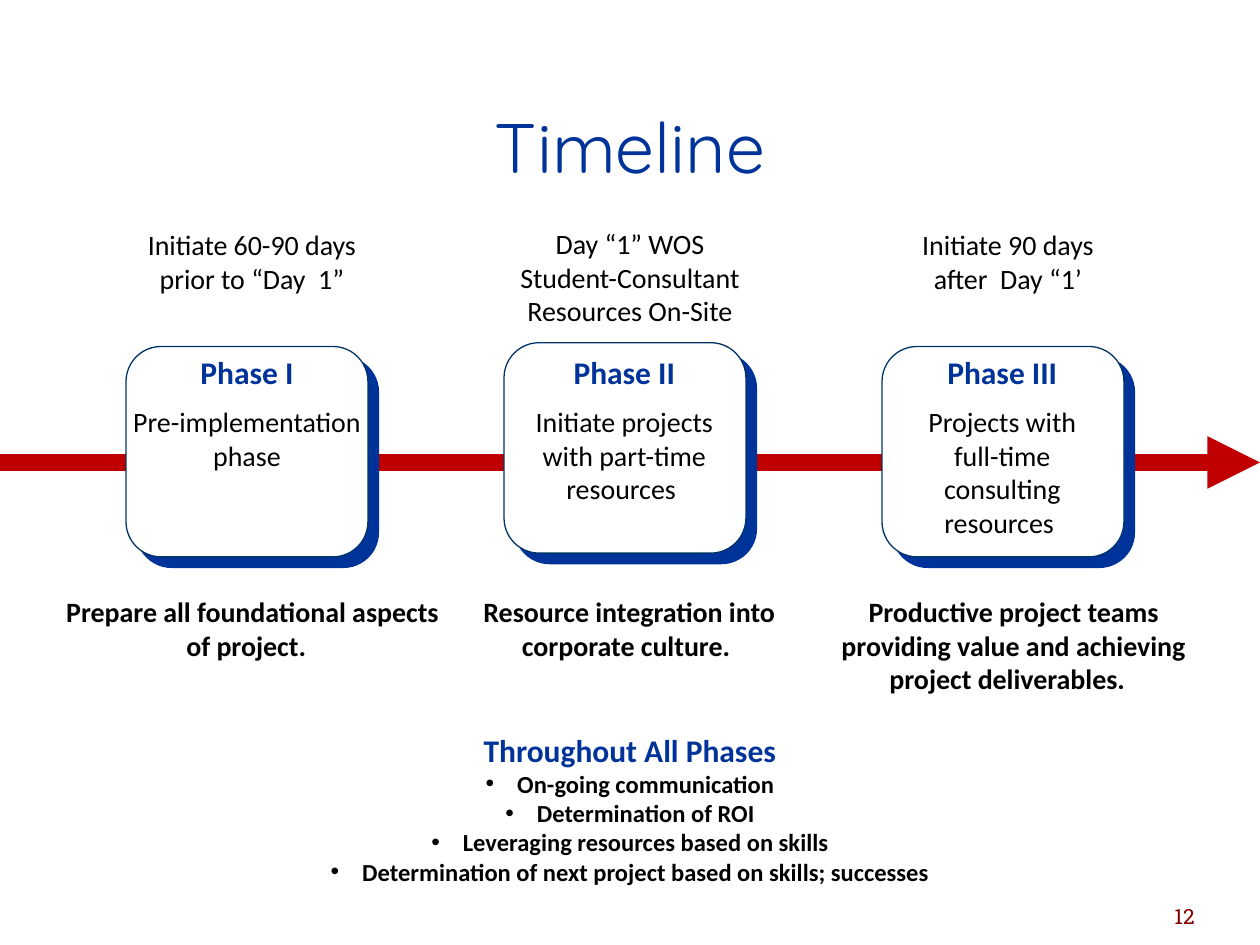
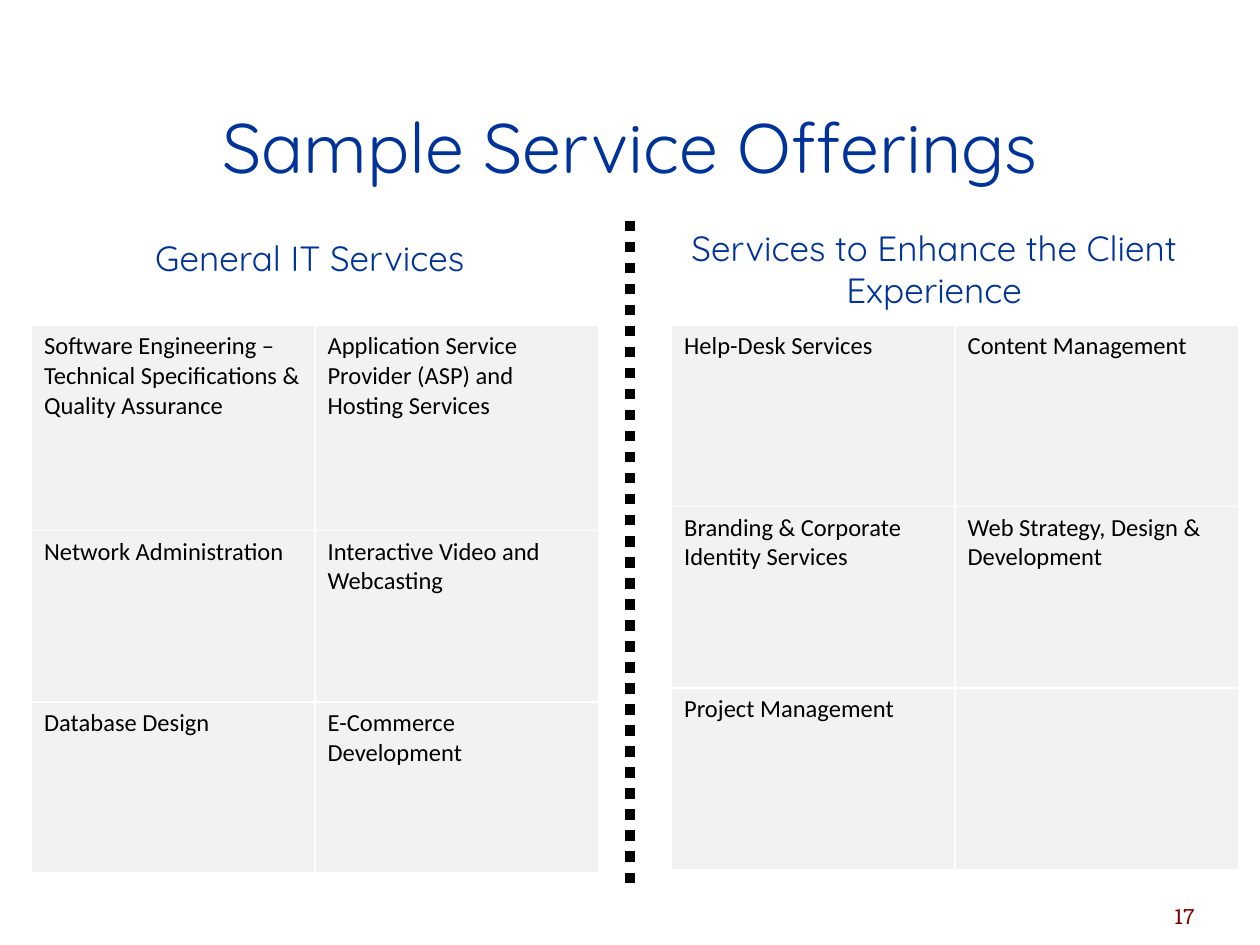
"""Build the timeline and service offering slides."""
from dataclasses import dataclass

import lxml.etree
import pptx
import pptx.dml.color
import pptx.enum.dml
import pptx.enum.shapes
import pptx.enum.text
import pptx.oxml.ns
import pptx.presentation
import pptx.slide
import pptx.util

Inches = pptx.util.Inches
Pt = pptx.util.Pt
RGBColor = pptx.dml.color.RGBColor
Align = pptx.enum.text.PP_ALIGN
Anchor = pptx.enum.text.MSO_ANCHOR
qn = pptx.oxml.ns.qn

BLUE = RGBColor(0x00, 0x33, 0x99)
NAVY = RGBColor(0x00, 0x33, 0x66)
RED = RGBColor(0xC0, 0x00, 0x00)
MAROON = RGBColor(0x80, 0x00, 0x00)
BLACK = RGBColor(0x00, 0x00, 0x00)
WHITE = RGBColor(0xFF, 0xFF, 0xFF)
GRAY = RGBColor(0xF2, 0xF2, 0xF2)
BODY = "Calibri"
HEAD = "Quicksand"
SLAB = "Roboto Slab"


@dataclass(frozen=True)
class Line:
    text: str
    size: int = 16
    color: RGBColor = BLACK
    bold: bool = False
    font: str = BODY
    before: float = 0
    space: float = 1
    hang: bool = False
    dot: bool = False


@dataclass(frozen=True)
class Note:
    left: float
    top: float
    width: float
    height: float
    lines: tuple[Line, ...]
    anchor: Anchor = Anchor.TOP
    align: Align = Align.CENTER
    grow: bool = True


@dataclass(frozen=True)
class Phase:
    left: float
    top: float
    title: str
    task: str
    inner: tuple[float, float, float]
    start: Note
    goal: Note


@dataclass(frozen=True)
class Grid:
    left: float
    rows: tuple[float, ...]
    cells: tuple[tuple[str, str], ...]
    head: Note


def bold(text: str) -> tuple[Line, ...]:
    """Make one bold line."""
    return (Line(text, bold=True),)


def topic(text: str) -> tuple[Line, ...]:
    """Make one column heading."""
    return (Line(text, 20, BLUE, font=HEAD),)


PHASES = (
    Phase(1, 2.75, "Phase I", "Pre-implementation phase", (0.92, 2.08, 1.08),
          Note(1, 1.75, 2, 0.64, (Line("Initiate 60-90 days prior to “Day  1”"),), Anchor.BOTTOM),
          Note(0.42, 4.67, 3.17, 0.64, bold("Prepare all foundational aspects of project.  "))),
    Phase(4, 2.72, "Phase II", "Initiate projects with part-time resources ", (4.08, 1.75, 1.35),
          Note(4, 1.75, 2, 0.91, (Line("Day “1” WOS Student-Consultant Resources On-Site"),)),
          Note(3.58, 4.67, 2.83, 0.64, bold("Resource integration into corporate culture. "))),
    Phase(7, 2.75, "Phase III", "Projects with full-time consulting resources ", (7.08, 1.75, 1.6),
          Note(7, 1.75, 2, 0.64, (Line("Initiate 90 days after  Day “1’"),), Anchor.BOTTOM),
          Note(6.42, 4.67, 3.25, 0.91, bold(
              "Productive project teams providing value and achieving project deliverables.  "))),
)
ALWAYS = (
    "On-going communication",
    "Determination of ROI",
    "Leveraging resources based on skills",
    "Determination of next project based on skills; successes",
)
GRIDS = (
    Grid(0.25, (1.63, 1.36, 1.36), (
        ("Software Engineering – Technical Specifications & Quality Assurance",
         "Application Service Provider (ASP) and Hosting Services"),
        ("Network Administration", "Interactive Video and Webcasting"),
        ("Database Design", "E-Commerce Development"),
    ), Note(0.67, 1.83, 3.58, 0.44, topic("General IT Services"))),
    Grid(5.33, (1.44, 1.44, 1.44), (
        ("Help-Desk Services", "Content Management"),
        ("Branding & Corporate Identity Services", "Web Strategy, Design & Development"),
        ("Project Management", ""),
    ), Note(5.08, 1.75, 4.67, 0.77, topic("Services to Enhance the Client Experience"))),
)


def add_node(root: lxml.etree._Element, tag: str, **attrs: object) -> lxml.etree._Element:
    """Append a drawing element with the given attributes."""
    return lxml.etree.SubElement(root, qn(tag), {k: str(v) for k, v in attrs.items()})


def write(frame: pptx.text.text.TextFrame, lines: tuple[Line, ...], align: Align) -> None:
    """Fill a text frame with styled lines."""
    frame.text = "\n".join(line.text for line in lines)
    for para, line in zip(frame.paragraphs, lines):
        para.alignment = align
        if line.hang:
            props = para._p.get_or_add_pPr()
            props.set("marL", str(Inches(0.25)))
            props.set("indent", str(-Inches(0.25)))
            if line.dot:
                add_node(props, "a:buFont", typeface="Arial")
                add_node(props, "a:buChar", char="•")
            tabs = add_node(props, "a:tabLst")
            add_node(tabs, "a:tab", pos=Inches(0.19), algn="l")
        if line.before:
            para.space_before = Pt(line.before)
        if line.space != 1:
            para.line_spacing = line.space
        for run in para.runs:
            run.font.name = line.font
            run.font.size = Pt(line.size)
            run.font.bold = line.bold
            run.font.color.rgb = line.color


def add_note(slide: pptx.slide.Slide, note: Note) -> None:
    """Draw a wrapped text box."""
    box = slide.shapes.add_textbox(
        Inches(note.left), Inches(note.top), Inches(note.width), Inches(note.height))
    frame = box.text_frame
    write(frame, note.lines, note.align)
    frame.word_wrap = True
    frame.vertical_anchor = note.anchor
    sizing = pptx.enum.text.MSO_AUTO_SIZE
    frame.auto_size = sizing.SHAPE_TO_FIT_TEXT if note.grow else sizing.NONE


def add_rule(slide: pptx.slide.Slide, start: tuple[float, float], end: tuple[float, float],
             color: RGBColor, width: float) -> pptx.shapes.connector.Connector:
    """Draw a straight line with no shadow."""
    rule = slide.shapes.add_connector(
        pptx.enum.shapes.MSO_CONNECTOR.STRAIGHT, *map(Inches, start + end))
    rule.line.color.rgb = color
    rule.line.width = Pt(width)
    add_node(rule.element.spPr, "a:effectLst")
    return rule


def add_phase(slide: pptx.slide.Slide, phase: Phase) -> None:
    """Draw a phase card with its text, start and goal."""
    card = slide.shapes.add_shape(
        pptx.enum.shapes.MSO_SHAPE.FLOWCHART_ALTERNATE_PROCESS,
        Inches(phase.left), Inches(phase.top), Inches(1.92), Inches(1.67))
    card.fill.solid()
    card.fill.fore_color.rgb = WHITE
    card.line.color.rgb = NAVY
    card.line.width = Pt(0.75)
    card.shadow.inherit = False
    glow = add_node(card.element.spPr.find(qn("a:effectLst")), "a:outerShdw",
                    blurRad=0, dist=Pt(8.5), dir=45 * 60000, algn="ctr", rotWithShape=0)
    add_node(glow, "a:srgbClr", val=BLUE)
    left, width, height = phase.inner
    add_note(slide, Note(left, 2.75, width, height, (
        Line(phase.title, 18, BLUE, True), Line(phase.task, before=8))))
    add_note(slide, phase.start)
    add_note(slide, phase.goal)


def add_grid(slide: pptx.slide.Slide, grid: Grid) -> None:
    """Draw a heading and its table of services."""
    add_note(slide, grid.head)
    table = slide.shapes.add_table(
        len(grid.rows), 2, Inches(grid.left), Inches(2.58),
        Inches(4.5), Inches(sum(grid.rows))).table
    table.first_row = table.horz_banding = False
    for row, high, texts in zip(table.rows, grid.rows, grid.cells):
        row.height = Inches(high)
        for cell, text in zip(row.cells, texts):
            write(cell.text_frame, (Line(text, 14),), Align.LEFT)
            props = cell._tc.get_or_add_tcPr()
            for side in "LRTB":
                edge = add_node(props, f"a:ln{side}", w=Pt(1))
                add_node(add_node(edge, "a:solidFill"), "a:srgbClr", val=WHITE)
            cell.fill.solid()
            cell.fill.fore_color.rgb = GRAY


def add_slide(deck: pptx.presentation.Presentation, title: str, page: int) -> pptx.slide.Slide:
    """Add a blank slide with a title and page number."""
    slide = deck.slides.add_slide(deck.slide_layouts[6])
    add_note(slide, Note(1, 0.75, 8, 0.92, (
        Line(title, 40, BLUE, font=HEAD, space=0.85),), Anchor.MIDDLE, grow=False))
    add_note(slide, Note(8.83, 6.92, 0.75, 0.5, (
        Line(str(page), 12, MAROON, font=SLAB),), Anchor.BOTTOM, Align.RIGHT, False))
    return slide


def main() -> None:
    """Build and save the deck."""
    deck = pptx.Presentation()
    deck.slide_width, deck.slide_height = Inches(10), Inches(7.5)

    slide = add_slide(deck, "Timeline", 12)
    arrow = add_rule(slide, (0, 3.67), (10, 3.67), RED, 10)
    add_node(arrow.element.spPr.find(qn("a:ln")), "a:tailEnd", type="triangle")
    for phase in PHASES:
        add_phase(slide, phase)
    add_note(slide, Note(1, 5.75, 8, 1.35, (
        Line("Throughout All Phases", 18, BLUE, True, hang=True),
        *(Line(text, 14, bold=True, hang=True, dot=True) for text in ALWAYS))))

    slide = add_slide(deck, "Sample Service Offerings", 17)
    split = add_rule(slide, (5, 1.75), (5, 7.08), BLACK, 6)
    split.line.dash_style = pptx.enum.dml.MSO_LINE.ROUND_DOT
    for grid in GRIDS:
        add_grid(slide, grid)
    deck.save("out.pptx")


if __name__ == "__main__":
    main()
